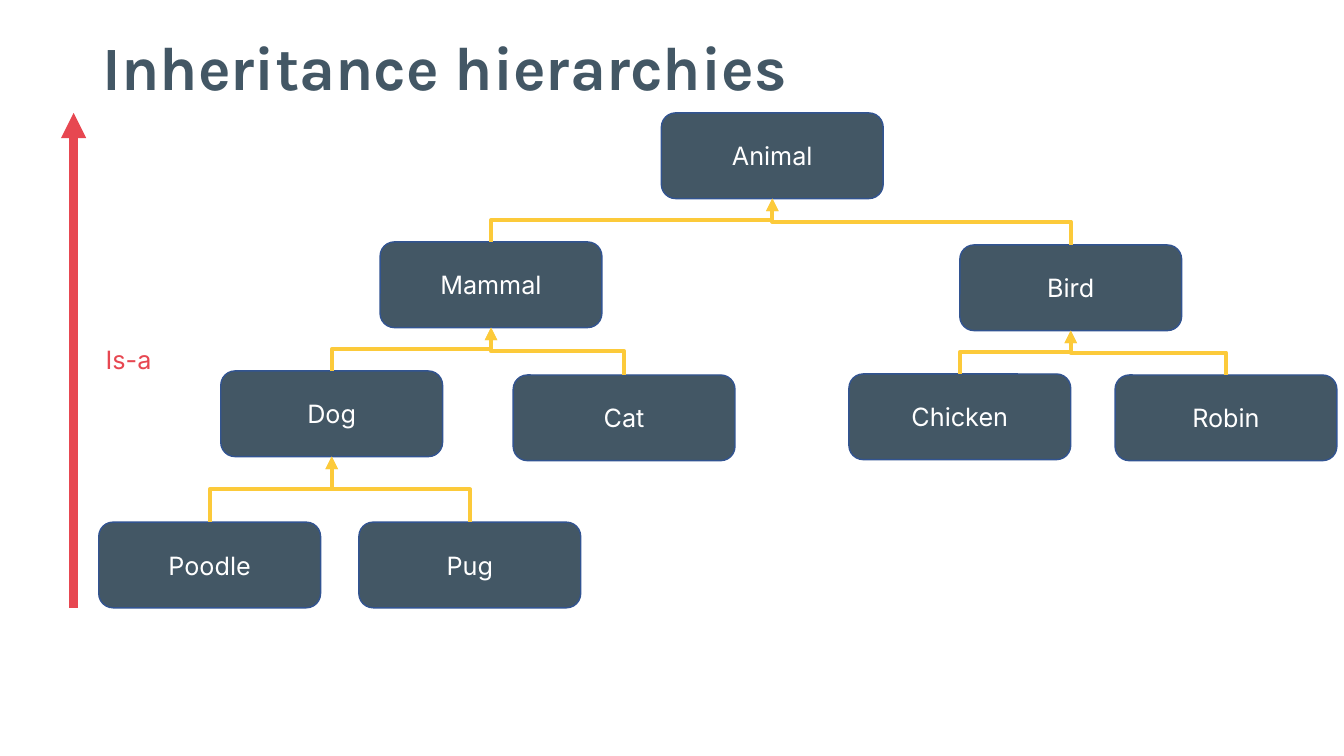
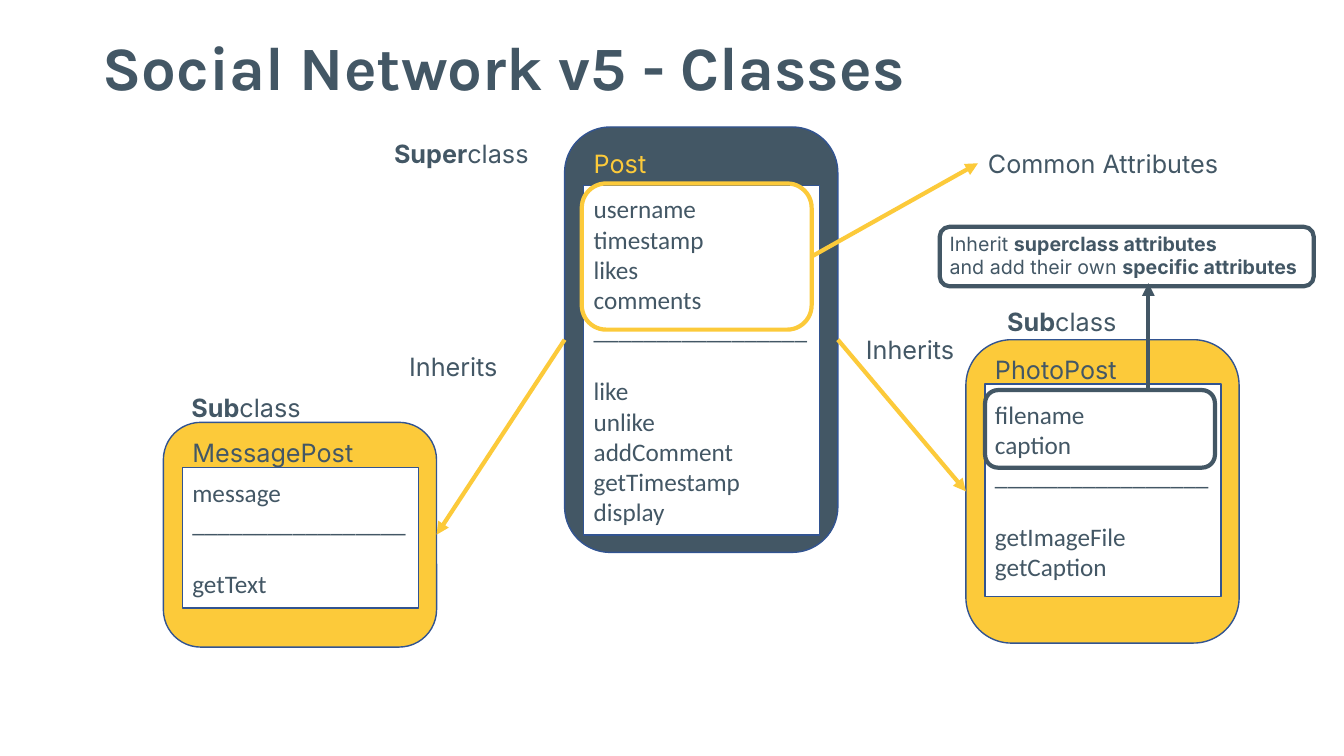
from lxml import etree
from pptx import Presentation
from pptx.dml.color import RGBColor
from pptx.enum.shapes import MSO_CONNECTOR, MSO_SHAPE
from pptx.enum.text import MSO_ANCHOR, MSO_AUTO_SIZE, PP_ALIGN
from pptx.oxml.ns import qn
from pptx.util import Inches, Pt

RECT, ROUND = MSO_SHAPE.RECTANGLE, MSO_SHAPE.ROUNDED_RECTANGLE
LINE, ELBOW = MSO_CONNECTOR.STRAIGHT, MSO_CONNECTOR.ELBOW
LEFT, CENTER = PP_ALIGN.LEFT, PP_ALIGN.CENTER
TOP, MIDDLE, BOTTOM = MSO_ANCHOR.TOP, MSO_ANCHOR.MIDDLE, MSO_ANCHOR.BOTTOM
GROW, FIXED = MSO_AUTO_SIZE.SHAPE_TO_FIT_TEXT, MSO_AUTO_SIZE.NONE
NORTH, WEST, SOUTH, EAST = range(4)

HUES = {
    "slate": "435765",
    "gold": "FCCA3A",
    "red": "E74751",
    "white": "FFFFFF",
    "edge": "325491",
}
HEAD = {"name": "Karla", "size": Pt(44), "bold": True}
BODY = {"name": "Inter", "size": Pt(18)}
NOTE = {"name": "Inter", "size": Pt(14)}
CODE = {"name": "Calibri", "size": Pt(18)}
RULE = "_" * 17

TREE = {
    "Animal": (6.56, 1.12, None),
    "Mammal": (3.77, 2.4, "Animal"),
    "Bird": (9.52, 2.43, "Animal"),
    "Dog": (2.19, 3.68, "Mammal"),
    "Cat": (5.09, 3.72, "Mammal"),
    "Chicken": (8.42, 3.71, "Bird"),
    "Robin": (11.06, 3.72, "Bird"),
    "Poodle": (0.98, 5.18, "Dog"),
    "Pug": (3.56, 5.18, "Dog"),
}


def tint(hue):
    return RGBColor.from_string(HUES[hue])


def put(item, vals):
    for key, val in vals.items():
        setattr(item, key, val)


def write(shape, lines, font, hue, frame, para):
    text = shape.text_frame
    put(text, frame)
    for i, line in enumerate(lines):
        par = text.paragraphs[0] if i == 0 else text.add_paragraph()
        put(par, para)
        if line == RULE:
            par.space_after = Pt(22)
        for j, part in enumerate(line.split("*")):
            if part:
                run = par.add_run()
                run.text = part
                put(run.font, {"bold": j % 2 == 1, **font})
                run.font.color.rgb = tint(hue)


def block(slide, kind, area, fill, edge="edge", width=1):
    shape = slide.shapes.add_shape(kind, *map(Inches, area))
    shape.shadow.inherit = False
    if fill:
        shape.fill.solid()
        shape.fill.fore_color.rgb = tint(fill)
    else:
        shape.fill.background()
    shape.line.color.rgb = tint(edge)
    shape.line.width = Pt(width)
    return shape


def label(slide, area, lines, hue="slate", font=BODY):
    box = slide.shapes.add_textbox(*map(Inches, area))
    frame = {"word_wrap": False, "auto_size": GROW, "vertical_anchor": TOP}
    write(box, lines, font, hue, frame, {"alignment": LEFT})
    return box


def title(slide, text):
    box = slide.shapes.add_textbox(*map(Inches, (0.92, 0.14, 11.5, 0.94)))
    frame = {"word_wrap": True, "auto_size": FIXED, "vertical_anchor": BOTTOM}
    write(box, [text], HEAD, "slate", frame, {"line_spacing": 0.9})


def style(link, hue, width):
    link.line.color.rgb = tint(hue)
    link.line.width = Pt(width)
    props = link.element.spPr
    etree.SubElement(props.find(qn("a:ln")), qn("a:tailEnd"), type="triangle")
    etree.SubElement(props, qn("a:effectLst"))


def arrow(slide, ends, hue, width=3):
    link = slide.shapes.add_connector(LINE, *map(Inches, ends))
    style(link, hue, width)


def join(slide, start, side, end, goal):
    link = slide.shapes.add_connector(LINE, 0, 0, 0, 0)
    link.begin_connect(start, side)
    link.end_connect(end, goal)
    style(link, "gold", 3)


def climb(slide, child, root):
    link = slide.shapes.add_connector(ELBOW, 0, 0, 0, 0)
    link.begin_connect(child, NORTH)
    link.end_connect(root, SOUTH)
    x1, y1 = child.left + child.width // 2, child.top
    x2, y2 = root.left + root.width // 2, root.top + root.height
    mid_x, mid_y = (x1 + x2) // 2, (y1 + y2) // 2
    run, rise = (x1 - x2) // 2, (y1 - y2) // 2
    put(link, {
        "begin_x": mid_x - rise,
        "begin_y": mid_y + run,
        "end_x": mid_x + rise,
        "end_y": mid_y - run,
    })
    link.element.spPr.find(qn("a:xfrm")).set("rot", str(270 * 60000))
    style(link, "gold", 3)


def node(slide, name, x, y):
    shape = block(slide, ROUND, (x, y, 2.2, 0.85), "slate")
    frame = {"word_wrap": True, "vertical_anchor": MIDDLE}
    write(shape, [name], BODY, "white", frame, {"alignment": CENTER})
    return shape


def card(slide, area, fill, name, hue, name_y, list_y, list_h, lines):
    x, y, high = area
    shape = block(slide, ROUND, (x, y, 2.71, high), fill)
    left = x + 0.19
    label(slide, (left, name_y, 1.8, 0.4), [name], hue)
    panel = block(slide, RECT, (left, list_y, 2.34, list_h), "white")
    frame = {"word_wrap": True, "vertical_anchor": MIDDLE}
    write(panel, lines, CODE, "slate", frame, {"alignment": LEFT})
    return shape


def draw_tree(slide):
    title(slide, "Inheritance hierarchies")
    nodes = {name: node(slide, name, x, y) for name, (x, y, _) in TREE.items()}
    for name, (_, _, root) in TREE.items():
        if root:
            climb(slide, nodes[name], nodes[root])
    arrow(slide, (0.73, 6.03, 0.73, 1.12), "red", 6)
    label(slide, (0.95, 3.37, 0.66, 0.4), ["Is-a"], "red")


def draw_net(slide):
    title(slide, "Social Network v5 - Classes")
    post = card(slide, (5.6, 1.26, 4.22), "slate", "Post", "gold", 1.42, 1.84, 3.47,
                ["username", "timestamp", "likes", "comments", RULE, "like",
                 "unlike", "addComment", "getTimestamp", "display"])
    photo = card(slide, (9.58, 3.37, 3.01), "gold", "PhotoPost", "slate", 3.47, 3.81, 2.11,
                 ["filename", "caption", RULE, "getImageFile", "getCaption"])
    message = card(slide, (1.62, 4.19, 2.23), "gold", "MessagePost", "slate", 4.29, 4.64, 1.39,
                   ["message", RULE, "getText"])
    join(slide, post, EAST, photo, WEST)
    join(slide, post, WEST, message, EAST)
    for x, y, width, text in (
        (3.96, 3.44, 1.09, "Inherits"),
        (8.49, 3.27, 1.09, "Inherits"),
        (1.8, 3.84, 1.29, "*Sub*class"),
        (9.89, 2.99, 1.29, "*Sub*class"),
        (3.81, 1.32, 1.54, "*Super*class"),
    ):
        label(slide, (x, y, width, 0.4), [text])
    shared = block(slide, ROUND, (5.77, 1.82, 2.28, 1.45), None, "gold", 3)
    common = label(slide, (9.7, 1.42, 2.52, 0.4), ["Common Attributes"])
    join(slide, shared, EAST, common, WEST)
    block(slide, ROUND, (9.77, 3.87, 2.28, 0.77), None, "slate", 3)
    arrow(slide, (11.39, 3.87, 11.39, 2.81), "slate")
    label(slide, (9.32, 2.25, 3.71, 0.57),
          ["Inherit *superclass attributes*", "and add their own *specific attributes*"],
          font=NOTE)
    block(slide, ROUND, (9.32, 2.25, 3.71, 0.59), None, "slate", 3)


def main():
    deck = Presentation()
    put(deck, {"slide_width": Inches(13.33), "slide_height": Inches(7.5)})
    for draw in (draw_tree, draw_net):
        draw(deck.slides.add_slide(deck.slide_layouts[6]))
    deck.save("out.pptx")


if __name__ == "__main__":
    main()
